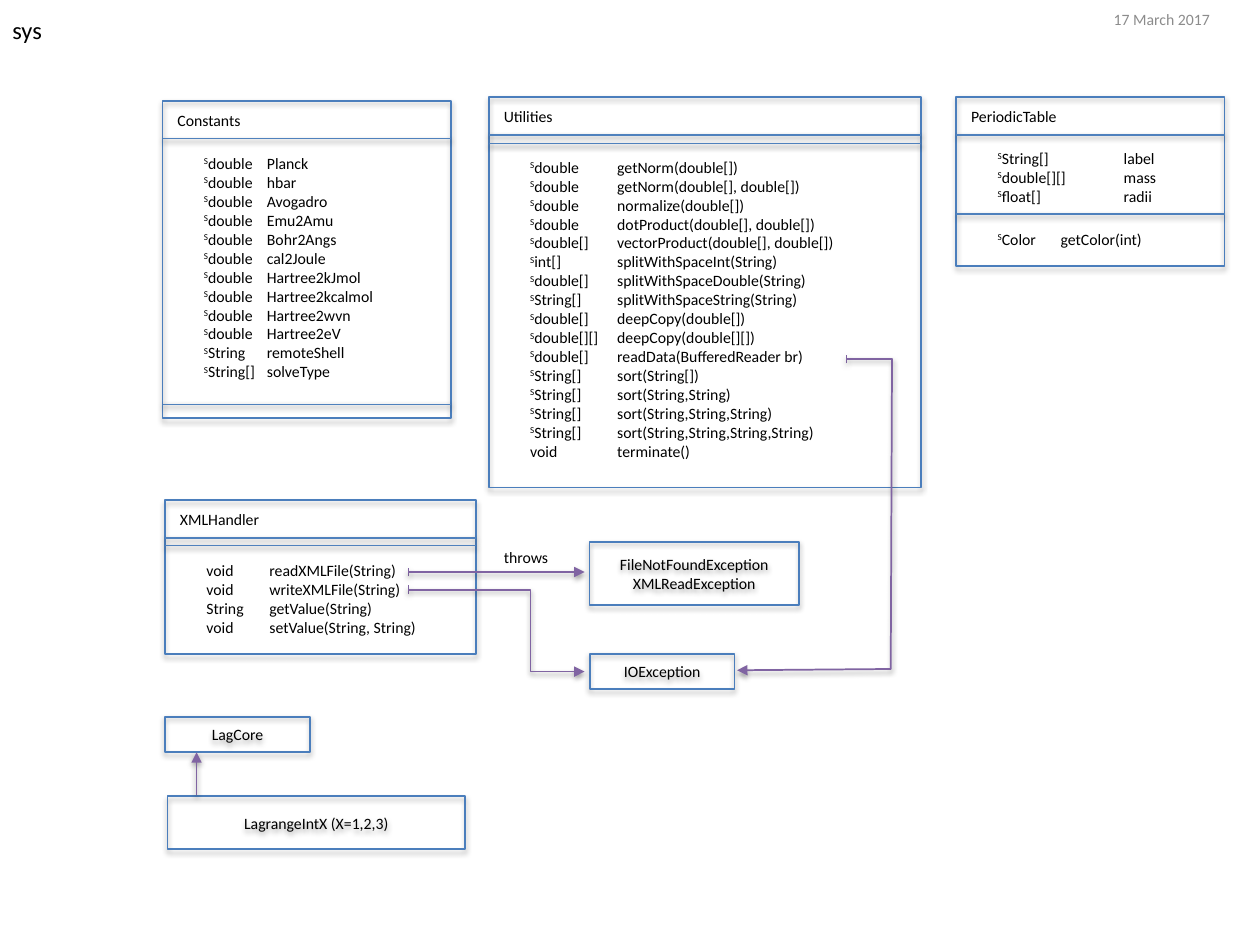
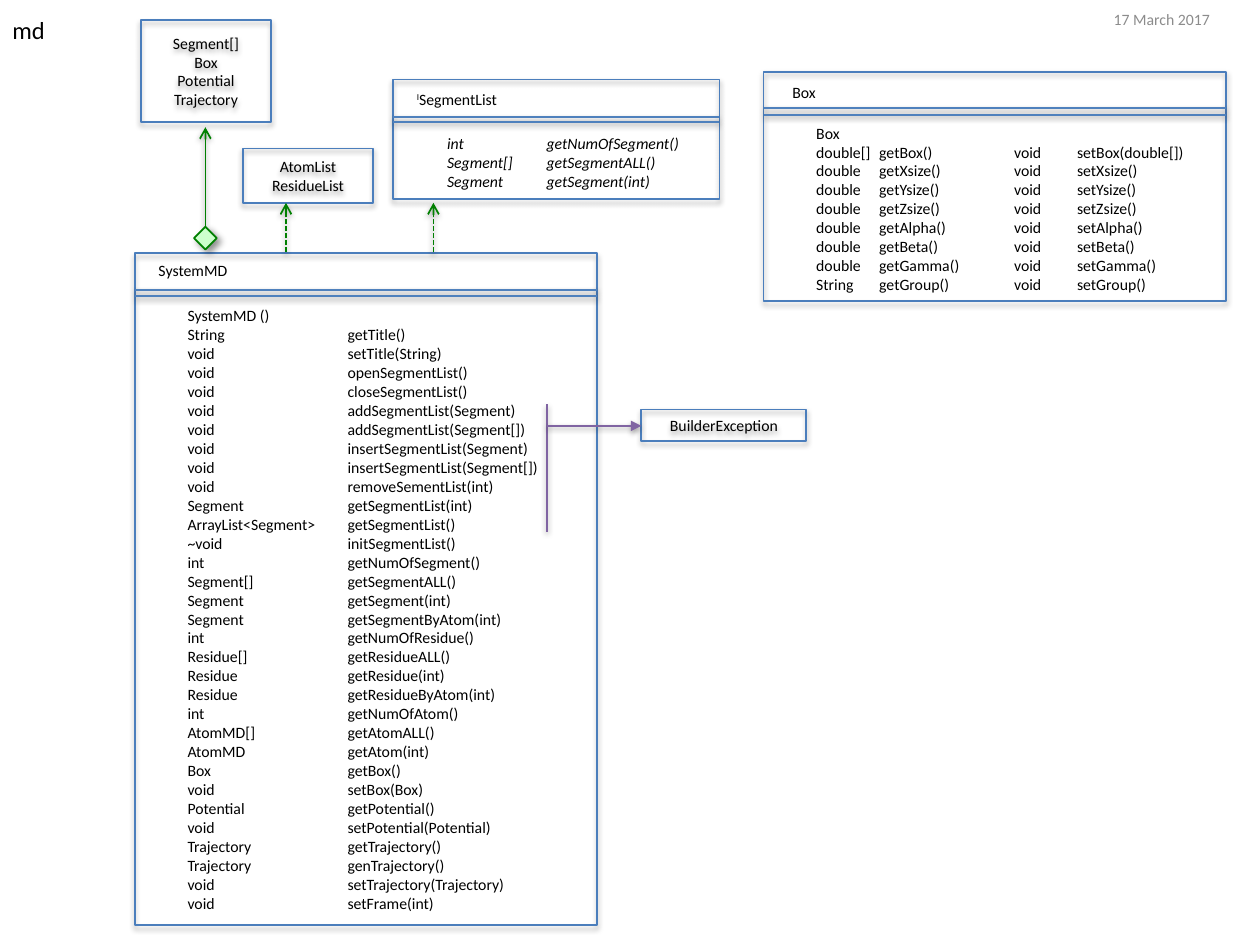
from lxml.etree import SubElement
from pptx import Presentation
from pptx.dml.color import RGBColor
from pptx.enum.dml import MSO_LINE
from pptx.enum.shapes import MSO_CONNECTOR, MSO_SHAPE
from pptx.enum.text import MSO_ANCHOR, PP_ALIGN
from pptx.oxml.ns import qn
from pptx.util import Inches, Pt

COLORS = {
    "text": "000000", "date": "8C8C8C", "border": "4B7EBC", "divider": "4F81BD",
    "throws": "8064A2", "uses": "008000", "diamond": "CCFFCC", "shadow": "000000",
}
FONT = "Calibri"
BODY_SIZE = 9
TITLE_SIZE = 14
# Shadow settings: opacity in percent, blur and distance in points, angle
BOX_SHADOW = (35, 3.1, 1.8, 90)
LINE_SHADOW = (38, 3.1, 1.6, 90)
DIAMOND_SHADOW = (43, 4, 3, 45)

CONSTANTS = [f"S^double\t{name}" for name in (
    "Planck", "hbar", "Avogadro", "Emu2Amu", "Bohr2Angs", "cal2Joule",
    "Hartree2kJmol", "Hartree2kcalmol", "Hartree2wvn", "Hartree2eV")]
CONSTANTS += ["S^String\tremoteShell", "S^String[]\tsolveType"]

UTILITIES = [
    "S^double\tgetNorm(double[])",
    "S^double\tgetNorm(double[], double[])",
    "S^double\tnormalize(double[])",
    "S^double\tdotProduct(double[], double[])",
    "S^double[]\tvectorProduct(double[], double[])",
    "S^int[]\tsplitWithSpaceInt(String)",
    "S^double[]\tsplitWithSpaceDouble(String)",
    "S^String[]\tsplitWithSpaceString(String)",
    "S^double[]\tdeepCopy(double[])",
    "S^double[][]\tdeepCopy(double[][])",
    "S^double[]\treadData(BufferedReader br)",
    "S^String[]\tsort(String[])",
    "S^String[]\tsort(String,String)",
    "S^String[]\tsort(String,String,String)",
    "S^String[]\tsort(String,String,String,String)",
    "void\tterminate()",
]

XML_HANDLER = [
    "void\treadXMLFile(String)", "void\twriteXMLFile(String)",
    "String\tgetValue(String)", "void\tsetValue(String, String)",
]

SYSTEM_MD = [
    "SystemMD ()",
    "String\tgetTitle()",
    "void\tsetTitle(String)",
    "void\topenSegmentList()",
    "void\tcloseSegmentList()",
    "void\taddSegmentList(Segment)",
    "void\taddSegmentList(Segment[])",
    "void\tinsertSegmentList(Segment)",
    "void\tinsertSegmentList(Segment[])",
    "void\tremoveSementList(int)",
    "Segment\tgetSegmentList(int)",
    "ArrayList<Segment>\tgetSegmentList()",
    "~void\tinitSegmentList()",
    "int\tgetNumOfSegment()",
    "Segment[]\tgetSegmentALL()",
    "Segment\tgetSegment(int)",
    "Segment\tgetSegmentByAtom(int)",
    "int\tgetNumOfResidue()",
    "Residue[]\tgetResidueALL()",
    "Residue\tgetResidue(int)",
    "Residue\tgetResidueByAtom(int)",
    "int\tgetNumOfAtom()",
    "AtomMD[]\tgetAtomALL()",
    "AtomMD\tgetAtom(int)",
    "Box\tgetBox()",
    "void\tsetBox(Box)",
    "Potential\tgetPotential()",
    "void\tsetPotential(Potential)",
    "Trajectory\tgetTrajectory()",
    "Trajectory\tgenTrajectory()",
    "void\tsetTrajectory(Trajectory)",
    "void\tsetFrame(int)",
]

SIZE_NAMES = ["Xsize", "Ysize", "Zsize", "Alpha", "Beta", "Gamma"]
BOX_GETTERS = ["Box", "double[]\tgetBox()",
               *[f"double\tget{name}()" for name in SIZE_NAMES], "String\tgetGroup()"]
BOX_SETTERS = ["void\tsetBox(double[])",
               *[f"void\tset{name}()" for name in SIZE_NAMES], "void\tsetGroup()"]


def color(name):
    """Return the named colour."""
    return RGBColor.from_string(COLORS[name])


def add_shadow(shape, settings):
    """Give a shape or connector an outer shadow."""
    opacity, blur, distance, angle = settings
    effects = SubElement(shape._element.spPr, qn("a:effectLst"))
    shadow = SubElement(effects, qn("a:outerShdw"), blurRad=str(Pt(blur)),
                        dist=str(Pt(distance)), dir=str(angle * 60000), rotWithShape="0")
    tint = SubElement(shadow, qn("a:srgbClr"), val=COLORS["shadow"])
    SubElement(tint, qn("a:alpha"), val=str(opacity * 1000))


def style_line(shape, color_name, width=1, arrow=None, dashed=False, shadow=LINE_SHADOW):
    """Set the stroke, arrowhead and shadow of a line or outline."""
    shape.line.color.rgb = color(color_name)
    shape.line.width = Pt(width)
    if dashed:
        shape.line.dash_style = MSO_LINE.SQUARE_DOT
    if arrow:
        SubElement(shape.line._get_or_add_ln(), qn("a:tailEnd"), type=arrow)
    add_shadow(shape, shadow)


def write_lines(text_frame, lines, size=BODY_SIZE, color_name="text", tab=None,
                italic=None, align=None):
    """Write one paragraph per line; text before ^ is superscript."""
    for index, line in enumerate(lines):
        paragraph = text_frame.paragraphs[0] if index == 0 else text_frame.add_paragraph()
        paragraph.alignment = align
        if tab:
            tabs = SubElement(paragraph._p.get_or_add_pPr(), qn("a:tabLst"))
            SubElement(tabs, qn("a:tab"), pos=str(Inches(tab)), algn="l")
        mark, caret, rest = line.rpartition("^")
        for text, raised in ((mark, True), (rest, False)):
            if not text:
                continue
            run = paragraph.add_run()
            run.text = text
            run.font.name = FONT
            run.font.size = Pt(size)
            run.font.italic = italic
            run.font.color.rgb = color(color_name)
            if raised:
                run._r.get_or_add_rPr().set("baseline", "30000")


def add_text(slide, box, lines, wrap=True, anchor=MSO_ANCHOR.TOP, **style):
    """Add a text box."""
    shape = slide.shapes.add_textbox(*map(Inches, box))
    shape.text_frame.word_wrap = wrap
    shape.text_frame.vertical_anchor = anchor
    write_lines(shape.text_frame, lines, **style)


def add_line(shapes, start, end, color_name="throws", **style):
    """Add a straight connector."""
    line = shapes.add_connector(MSO_CONNECTOR.STRAIGHT, *map(Inches, (*start, *end)))
    style_line(line, color_name, **style)


def add_tick(slide, x, y):
    """Add the short bar where a throws arrow starts."""
    add_line(slide.shapes, (x, y + 0.035), (x, y - 0.035), width=0.5)


def add_elbow(slide, points):
    """Add a bent throws arrow through the points."""
    start, *others = [tuple(map(Inches, point)) for point in points]
    builder = slide.shapes.build_freeform(*start)
    builder.add_line_segments(others, close=False)
    elbow = builder.convert_to_shape()
    elbow.fill.background()
    style_line(elbow, "throws", arrow="triangle")


def add_frame(shapes, box):
    """Add an outlined rectangle without fill."""
    frame = shapes.add_shape(MSO_SHAPE.RECTANGLE, *map(Inches, box))
    frame.fill.background()
    style_line(frame, "border", shadow=BOX_SHADOW)
    return frame


def add_label_box(slide, box, lines):
    """Add a rectangle with centred lines."""
    text_frame = add_frame(slide.shapes, box).text_frame
    text_frame.word_wrap = True
    text_frame.vertical_anchor = MSO_ANCHOR.MIDDLE
    write_lines(text_frame, lines, align=PP_ALIGN.CENTER)


def add_class(slide, name, box, dividers, name_offset=(0.02, 0.03)):
    """Add a class frame with its name and dividers, given as heights on the slide."""
    left, top, width, height = box
    group = slide.shapes.add_group_shape()
    add_frame(group.shapes, box)
    for y in dividers:
        add_line(group.shapes, (left, y), (left + width, y), "divider")
    add_text(slide, (left + name_offset[0], top + name_offset[1], 0.9, 0.25),
             [name], wrap=False)


def add_page(presentation, title):
    """Add a blank slide with the package title and the date."""
    slide = presentation.slides.add_slide(presentation.slide_layouts[6])
    add_text(slide, (0, 0.07, 0.46, 0.34), [title], wrap=False, size=TITLE_SIZE)
    add_text(slide, (8.74, 0.01, 1.26, 0.29), ["17 March 2017"],
             anchor=MSO_ANCHOR.MIDDLE, color_name="date")
    return slide


def build_sys(presentation):
    """Build the diagram of the sys package."""
    slide = add_page(presentation, "sys")
    add_class(slide, "Constants", (1.29, 0.8, 2.29, 2.52), (1.1, 3.21))
    add_text(slide, (1.52, 1.17, 1.9, 1.92), CONSTANTS, tab=0.5)
    add_class(slide, "Utilities", (3.88, 0.77, 3.43, 3.1), (1.07, 1.14))
    add_text(slide, (4.11, 1.2, 3.05, 2.52), UTILITIES, tab=0.69)
    add_class(slide, "PeriodicTable", (7.59, 0.77, 2.13, 1.34), (1.07, 1.7))
    add_text(slide, (7.82, 1.13, 1.56, 0.56),
             ["S^String[]\tlabel", "S^double[][]\tmass", "S^float[]\tradii"], tab=1)
    add_text(slide, (7.82, 1.77, 1.9, 0.25), ["S^Color\tgetColor(int)"], tab=0.5)
    add_class(slide, "XMLHandler", (1.31, 3.97, 2.47, 1.22), (4.27, 4.33))
    add_text(slide, (1.54, 4.4, 2.24, 0.71), XML_HANDLER, tab=0.5)

    add_label_box(slide, (4.68, 4.3, 1.66, 0.5),
                  ["FileNotFoundException", "XMLReadException"])
    add_label_box(slide, (4.68, 5.19, 1.15, 0.28), ["IOException"])
    add_label_box(slide, (1.31, 5.69, 1.15, 0.28), ["LagCore"])
    add_label_box(slide, (1.33, 6.32, 2.36, 0.42), ["LagrangeIntX (X=1,2,3)"])

    add_text(slide, (3.9, 4.3, 0.56, 0.25), ["throws"], wrap=False)
    for x, y in ((3.24, 4.54), (3.24, 4.68), (6.72, 2.85)):
        add_tick(slide, x, y)
    add_line(slide.shapes, (3.24, 4.54), (4.64, 4.54), arrow="triangle")
    add_elbow(slide, [(3.24, 4.68), (4.21, 4.68), (4.21, 5.33), (4.64, 5.33)])
    add_elbow(slide, [(6.72, 2.85), (7.08, 2.85), (7.07, 5.31), (5.85, 5.32)])
    add_line(slide.shapes, (1.56, 6.31), (1.56, 5.97), arrow="triangle")


def build_md(presentation):
    """Build the diagram of the md package."""
    slide = add_page(presentation, "md")
    add_class(slide, "SystemMD", (1.07, 2.01, 3.67, 5.33), (2.3, 2.35), (0.09, 0.01))
    add_text(slide, (1.39, 2.38, 3.14, 4.95), SYSTEM_MD, tab=1.27)
    add_class(slide, "I^SegmentList", (3.12, 0.63, 2.59, 0.95), (0.93, 0.97), (0.09, 0.03))
    add_text(slide, (3.45, 1.01, 2.17, 0.56),
             ["int\tgetNumOfSegment()", "Segment[]\tgetSegmentALL()",
              "Segment\tgetSegment(int)"], tab=0.79, italic=True)
    add_class(slide, "Box", (6.06, 0.57, 3.67, 1.82), (0.86, 0.91), (0.13, 0.04))
    add_text(slide, (6.38, 0.93, 1.73, 1.46), BOX_GETTERS, tab=0.5)
    add_text(slide, (7.95, 1.08, 1.73, 1.31), BOX_SETTERS, tab=0.5)

    add_label_box(slide, (1.12, 0.16, 1.03, 0.81),
                  ["Segment[]", "Box", "Potential", "Trajectory"])
    add_label_box(slide, (1.93, 1.18, 1.03, 0.43), ["AtomList", "ResidueList"])
    add_label_box(slide, (5.09, 3.25, 1.31, 0.25), ["BuilderException"])

    add_line(slide.shapes, (1.63, 1.8), (1.63, 1.01), "uses", arrow="arrow")
    diamond = slide.shapes.add_shape(
        MSO_SHAPE.DIAMOND, *map(Inches, (1.54, 1.8, 0.18, 0.18)))
    diamond.fill.solid()
    diamond.fill.fore_color.rgb = color("diamond")
    style_line(diamond, "uses", shadow=DIAMOND_SHADOW)
    for x in (2.27, 3.44):
        add_line(slide.shapes, (x, 2), (x, 1.61), "uses", arrow="arrow", dashed=True)
    add_line(slide.shapes, (4.34, 3.21), (4.34, 4.22))
    add_line(slide.shapes, (4.34, 3.38), (5.09, 3.38), arrow="triangle")


def main():
    """Build and save the presentation."""
    presentation = Presentation()
    presentation.slide_width = Inches(10)
    presentation.slide_height = Inches(7.5)
    build_sys(presentation)
    build_md(presentation)
    presentation.save("out.pptx")


main()
